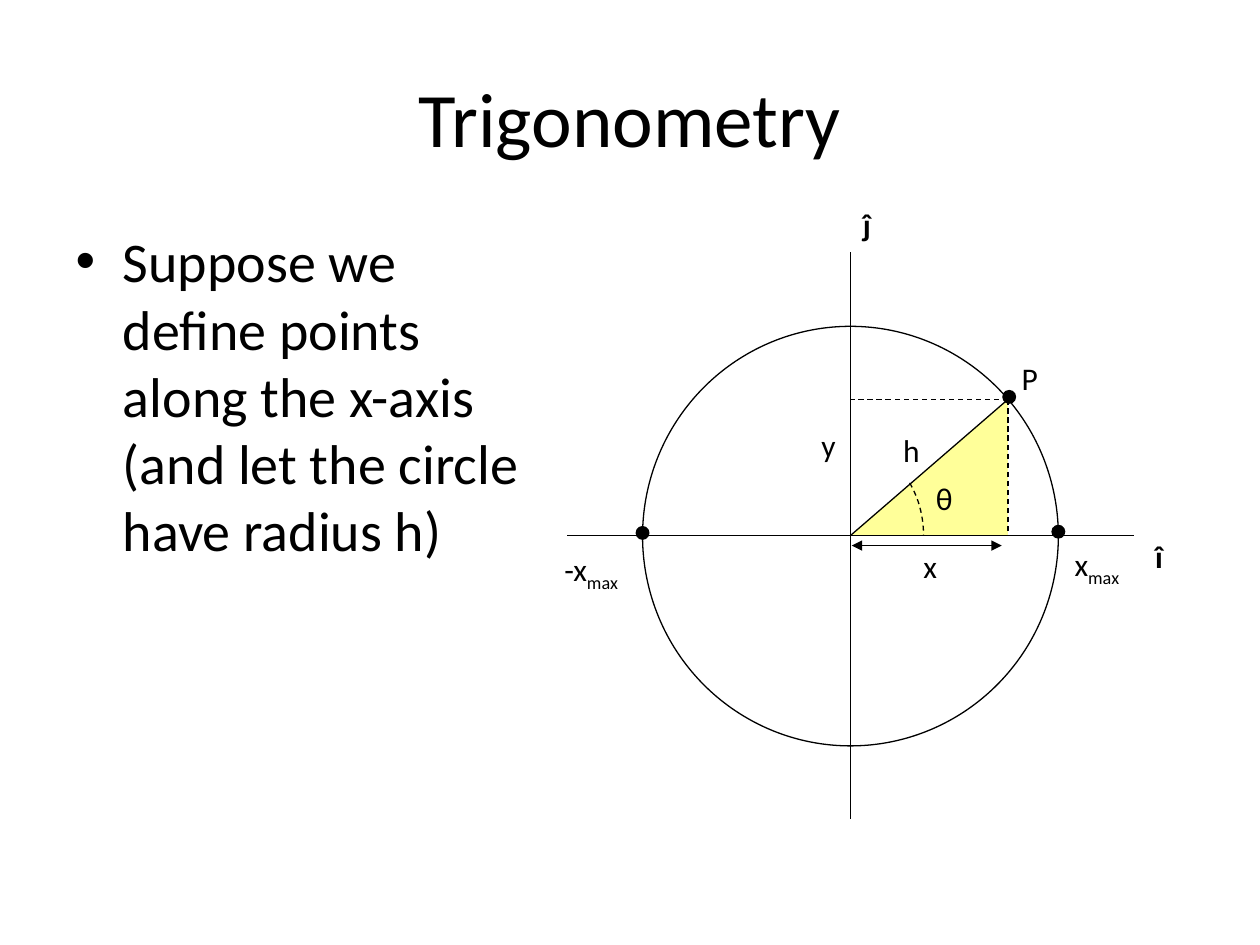
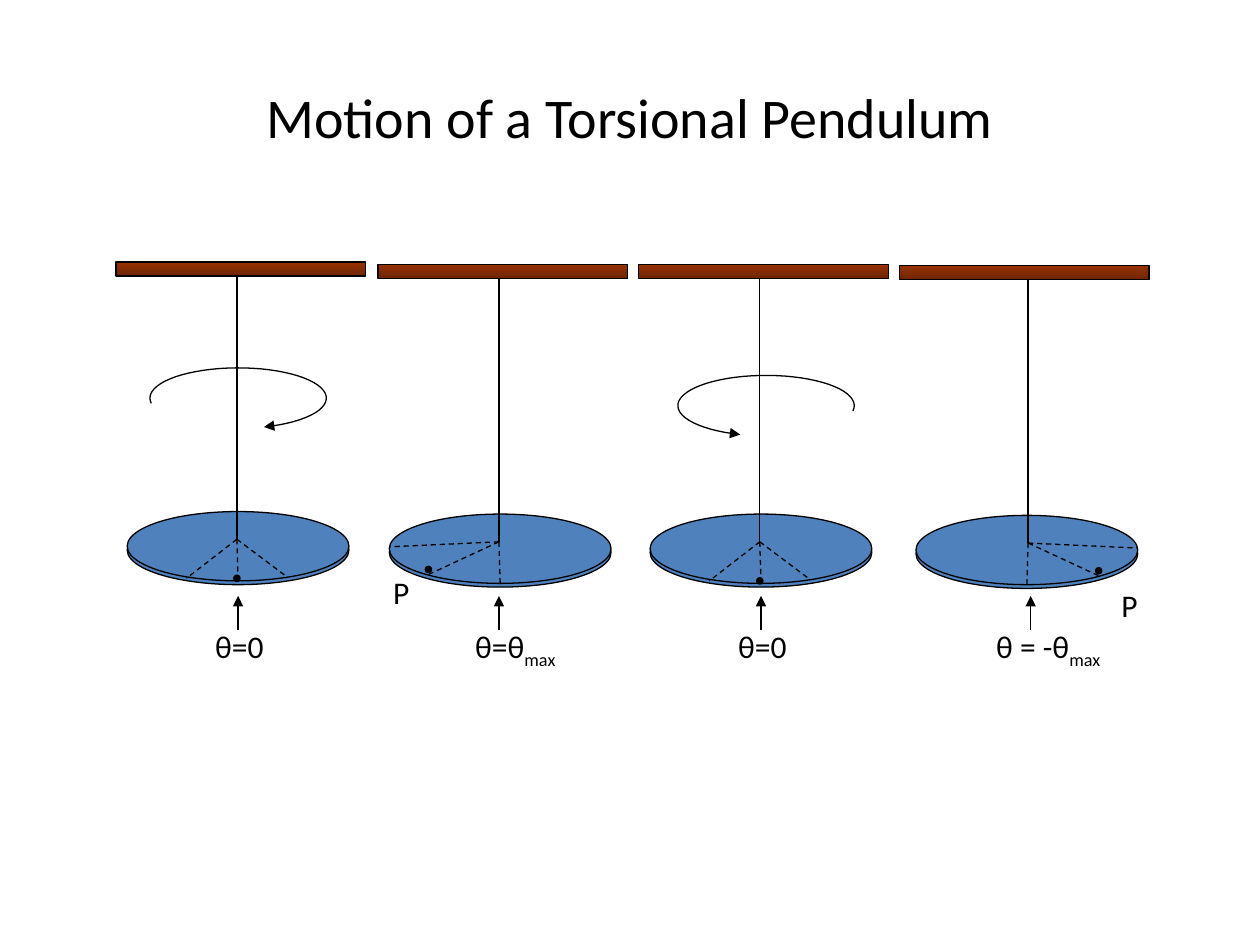
from math import cos, radians, sin

from lxml.etree import SubElement
from pptx import Presentation
from pptx.dml.color import RGBColor
from pptx.enum.dml import MSO_LINE
from pptx.enum.shapes import MSO_CONNECTOR, MSO_SHAPE
from pptx.enum.text import MSO_ANCHOR, PP_ALIGN
from pptx.oxml.ns import qn
from pptx.util import Inches, Pt

FONT = "Calibri"
COLORS = {
    "ink": "000000",
    "triangle": "FFFF99",
    "disc": "4F81BD",
    "bar_top": "993300",
    "bar_bottom": "6D2400",
}
LINE_WIDTH = 0.75
LABEL_HEIGHT = 0.4


def color(name):
    return RGBColor.from_string(COLORS[name])


# Shared drawing helpers (all lengths in inches)
def style_font(paragraph, size, bold=None):
    paragraph.font.name = FONT
    paragraph.font.size = Pt(size)
    paragraph.font.bold = bold
    paragraph.font.color.rgb = color("ink")


def style_line(shape, dashed=False):
    shape.line.color.rgb = color("ink")
    shape.line.width = Pt(LINE_WIDTH)
    if dashed:
        shape.line.dash_style = MSO_LINE.DASH


def add_arrowheads(shape, *ends):
    for end in ends:
        SubElement(shape.line._get_or_add_ln(), qn(f"a:{end}"), type="triangle")


def add_line(slide, start, end, dashed=False, arrows=()):
    points = [Inches(value) for value in (*start, *end)]
    line = slide.shapes.add_connector(MSO_CONNECTOR.STRAIGHT, *points)
    style_line(line, dashed)
    add_arrowheads(line, *arrows)
    SubElement(line._element.spPr, qn("a:effectLst"))


def add_figure(slide, kind, left, top, width, height, fill=None, outlined=True):
    box = [Inches(value) for value in (left, top, width, height)]
    shape = slide.shapes.add_shape(kind, *box)
    shape.shadow.inherit = False
    if fill:
        shape.fill.solid()
        shape.fill.fore_color.rgb = color(fill)
    else:
        shape.fill.background()
    if outlined:
        style_line(shape)
    else:
        shape.line.fill.background()
    return shape


def add_dot(slide, x, y, size):
    add_figure(slide, MSO_SHAPE.OVAL, x - size / 2, y - size / 2, size, size, "ink")


def add_arc(slide, center, radii, first, last, dashed=False, arrows=()):
    """Draw an elliptical arc; angles in degrees, clockwise from the right."""
    steps = 48
    angles = [radians(first + (last - first) * step / steps) for step in range(steps + 1)]
    points = [(Inches(center[0] + radii[0] * cos(angle)),
               Inches(center[1] + radii[1] * sin(angle))) for angle in angles]
    builder = slide.shapes.build_freeform(*points[0])
    builder.add_line_segments(points[1:], close=False)
    arc = builder.convert_to_shape()
    arc.shadow.inherit = False
    arc.fill.background()
    style_line(arc, dashed)
    add_arrowheads(arc, *arrows)


def add_label(slide, left, top, width, text, subscript="", bold=None,
              alignment=PP_ALIGN.LEFT):
    box = slide.shapes.add_textbox(Inches(left), Inches(top), Inches(width),
                                   Inches(LABEL_HEIGHT))
    box.text_frame.word_wrap = False
    paragraph = box.text_frame.paragraphs[0]
    paragraph.alignment = alignment
    paragraph.add_run().text = text
    if subscript:
        run = paragraph.add_run()
        run.text = subscript
        run._r.get_or_add_rPr().set("baseline", "-25000")
    style_font(paragraph, 18, bold)


def place(shape, left, top, width, height):
    shape.left, shape.top = Inches(left), Inches(top)
    shape.width, shape.height = Inches(width), Inches(height)


def add_titled_slide(presentation, layout_index, text, size):
    slide = presentation.slides.add_slide(presentation.slide_layouts[layout_index])
    title = slide.shapes.title
    place(title, 0.5, 0.3, 9, 1.25)
    title.text_frame.text = text
    title.text_frame.vertical_anchor = MSO_ANCHOR.MIDDLE
    paragraph = title.text_frame.paragraphs[0]
    paragraph.alignment = PP_ALIGN.CENTER
    style_font(paragraph, size)
    return slide


# Slide 1: circle with a right triangle
def draw_circle_diagram(slide, left, top, size):
    center_x, center_y = left + size / 2, top + size / 2
    radius_x, radius_y = 1.65, 1.665
    triangle_width, triangle_height = 1.25, 1.08

    def at(x, y):
        return center_x + x, center_y + y

    center, foot = at(0, 0), at(triangle_width, 0)
    point = at(triangle_width, -triangle_height)
    height_mark = at(0, -triangle_height)

    # Triangle, circle and axes
    triangle = add_figure(slide, MSO_SHAPE.RIGHT_TRIANGLE, *height_mark,
                          triangle_width, triangle_height, "triangle", outlined=False)
    triangle._element.spPr.get_or_add_xfrm().set("flipH", "1")
    add_figure(slide, MSO_SHAPE.OVAL, *at(-radius_x, -radius_y + 0.005),
               2 * radius_x, 2 * radius_y)
    add_line(slide, (center_x, top), (center_x, top + size))
    add_line(slide, (left, center_y), (left + size, center_y))

    # Radius, projections, angle and x dimension
    add_line(slide, center, point)
    add_line(slide, point, foot, dashed=True)
    add_line(slide, point, height_mark, dashed=True)
    add_arc(slide, center, (0.58, 0.71), -36, 0, dashed=True)
    add_line(slide, at(0.01, 0.08), at(1.2, 0.08), arrows=("headEnd", "tailEnd"))

    # Labels: offset from the centre, width, text, subscript, bold
    labels = [
        (0, -2.67, 0.27, "ĵ", "", True),
        (2.32, -0.04, 0.27, "î", "", True),
        (0.58, -0.5, 0.33, "θ", "", None),
        (0.48, 0.04, 0.33, "x", "", None),
        (-0.33, -0.92, 0.33, "y", "", None),
        (0.32, -0.88, 0.34, "h", "", None),
        (1.26, -1.45, 0.37, "P", "", None),
        (1.68, 0.03, 0.64, "x", "max", None),
        (-2.37, 0.07, 0.72, "-x", "max", None),
    ]
    for x, y, *label in labels:
        add_label(slide, *at(x, y), *label)

    # Marked points
    for x, y in [(-radius_x, -0.02), (radius_x, -0.03), (1.26, -1.1)]:
        add_dot(slide, *at(x, y), 0.1)


def build_trigonometry_slide(presentation):
    slide = add_titled_slide(presentation, 1, "Trigonometry", 44)
    body = slide.placeholders[1]
    place(body, 0.5, 1.75, 3.8, 4.95)
    body.text_frame.text = ("Suppose we define points along the x-axis "
                            "(and let the circle have radius h)")
    paragraph = body.text_frame.paragraphs[0]
    paragraph.space_before = Pt(0)
    style_font(paragraph, 32)
    draw_circle_diagram(slide, 4.5, 2, 4.5)


# Slide 2: four positions of the pendulum
DISC_WIDTH, DISC_HEIGHT = 1.76, 0.55
BAR_WIDTH, BAR_HEIGHT = 1.98, 0.11
REST_SPOKES = [(0.88, 0.54), (1.27, 0.52), (0.47, 0.53)]
TURNED_SPOKES = [(0.88, 0.55), (0, 0.26), (0.31, 0.48)]


def draw_pendulum(slide, left, top, spokes, dot, mirrored=False):
    """Draw one pendulum whose disc has its top left corner at left, top."""
    def at(x, y):
        return left + (DISC_WIDTH - x if mirrored else x), top + y

    # Disc, wire and spokes
    for drop in (0.03, 0):
        add_figure(slide, MSO_SHAPE.OVAL, left, top + drop,
                   DISC_WIDTH, DISC_HEIGHT, "disc")
    hub = at(0.87, 0.22)
    add_line(slide, hub, at(0.87, -1.92))
    for spoke in spokes:
        add_line(slide, hub, at(*spoke), dashed=True)
    add_dot(slide, *at(*dot), 0.05)

    # Ceiling bar
    bar_left = at(BAR_WIDTH - 0.09 if mirrored else -0.09, 0)[0]
    bar = add_figure(slide, MSO_SHAPE.RECTANGLE, bar_left, top - 1.98,
                     BAR_WIDTH, BAR_HEIGHT)
    bar.fill.gradient()
    bar.fill.gradient_angle = 270
    for stop, name in zip(bar.fill.gradient_stops, ("bar_top", "bar_bottom")):
        stop.color.rgb = color(name)


def draw_caption(slide, pointer_x, label_x, width, text, subscript=""):
    add_line(slide, (pointer_x, 5), (pointer_x, 4.73), arrows=("tailEnd",))
    add_label(slide, label_x - width / 2, 4.93, width, text, subscript,
              alignment=PP_ALIGN.CENTER)


def build_pendulum_slide(presentation):
    slide = add_titled_slide(presentation, 5, "Motion of a Torsional Pendulum", 32)
    rest = (REST_SPOKES, (0.87, 0.53))
    turned = (TURNED_SPOKES, (0.31, 0.44))

    draw_pendulum(slide, 1.01, 4.06, *rest)
    draw_pendulum(slide, 3.09, 4.08, *turned)
    draw_pendulum(slide, 5.16, 4.08, *rest)
    draw_pendulum(slide, 7.27, 4.09, *turned, mirrored=True)

    # Rotation arrows: clockwise, then counterclockwise
    swirl = (0.7, 0.24)
    add_arc(slide, (1.89, 3.16), swirl, 170, 433, arrows=("tailEnd",))
    add_arc(slide, (6.08, 3.22), swirl, 10, -253, arrows=("tailEnd",))

    # Captions and point labels
    draw_caption(slide, 1.89, 1.9, 0.62, "θ=0")
    draw_caption(slide, 3.96, 4.09, 0.92, "θ=θ", "max")
    draw_caption(slide, 6.04, 6.05, 0.62, "θ=0")
    draw_caption(slide, 8.18, 8.32, 1.24, "θ = -θ", "max")
    for x, y in [(3, 4.5), (8.78, 4.6)]:
        add_label(slide, x, y, 0.37, "P", alignment=PP_ALIGN.CENTER)


def main():
    presentation = Presentation()
    presentation.slide_width, presentation.slide_height = Inches(10), Inches(7.5)
    build_trigonometry_slide(presentation)
    build_pendulum_slide(presentation)
    presentation.save("out.pptx")


if __name__ == "__main__":
    main()
